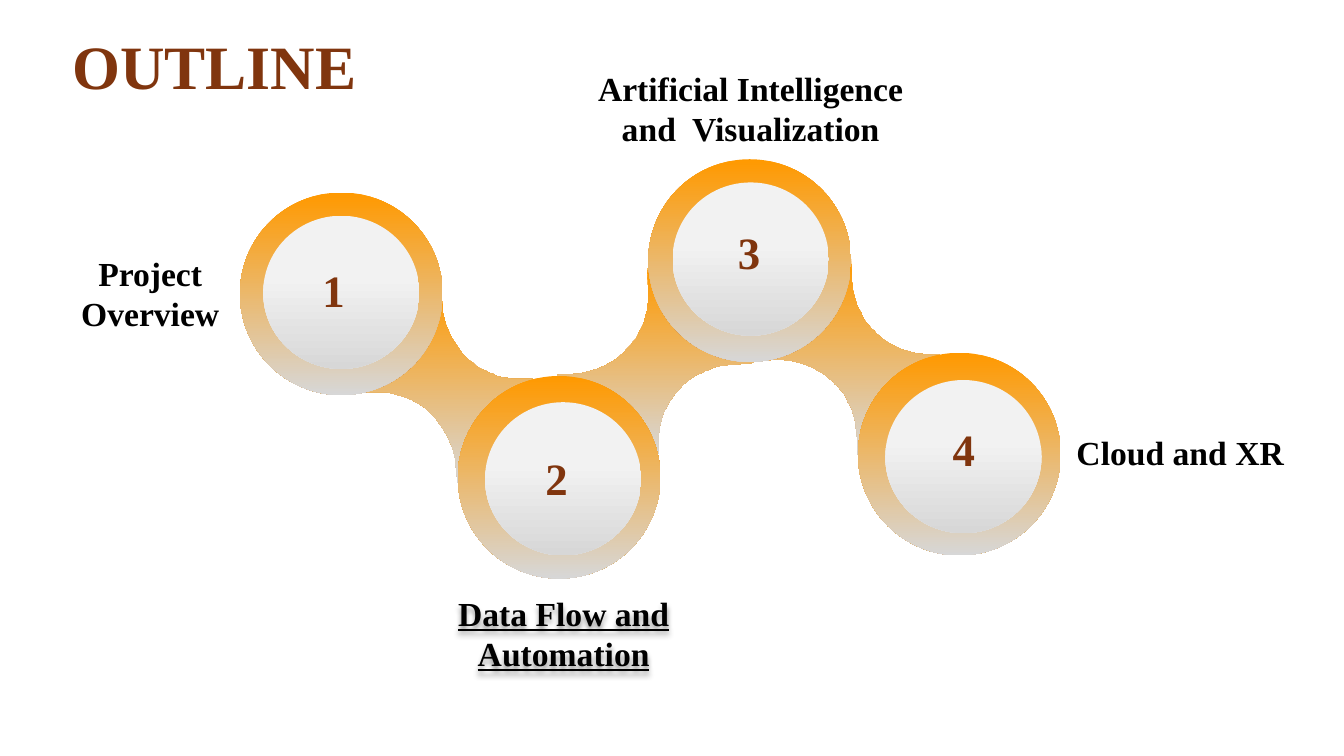
from lxml import etree
from pptx import Presentation
from pptx.dml.color import RGBColor
from pptx.enum.shapes import MSO_SHAPE as Shape
from pptx.enum.text import PP_ALIGN as Align
from pptx.oxml.ns import qn
from pptx.util import Pt

PX = 9144  # 100 px to the inch
FONT = "Times New Roman"
BROWN, BLACK = "80350E", "000000"
RING_STOPS = ((0, "FF9900"), (1, "D7D7D7"))
FACE_STOPS = ((0.4, "F2F2F2"), (1, "D7D7D7"))
DISC_SIZE = 201
FACE_SIZE = (155, 152)
NUMBER_SIZE = (63, 64)
CURVE_STEPS = 32

# Number, then left and top of its disc, face and number box
STATIONS = [
    ("1", (238, 191), (261, 214), (310, 256)),
    ("2", (454, 373), (481, 399), (531, 442)),
    ("3", (643, 158), (667, 181), (722, 218)),
    ("4", (851, 350), (878, 377), (935, 413)),
]

# Each neck: start, upper curve, far corners, lower curve
NECKS = [
    ((346, 391), (437, 283), ((439, 305), (443, 348), (480, 380), (523, 376)),
     (529, 376), (454, 479), ((452, 461), (448, 418), (411, 386), (368, 389))),
    ((748, 360), (642, 266), ((643, 288), (646, 331), (613, 368), (570, 371)),
     (552, 372), (653, 450), ((653, 444), (650, 401), (683, 364), (726, 362))),
    ((748, 358), (844, 255), ((845, 276), (846, 320), (882, 353), (926, 352)),
     (932, 352), (851, 451), ((850, 433), (849, 389), (813, 356), (769, 357))),
]

# Topic, box, underlined with shadow
TOPICS = [
    ("Project Overview", (65, 246, 168, 91), False),
    ("Data Flow and Automation", (428, 583, 262, 91), True),
    ("Artificial Intelligence and  Visualization", (568, 62, 353, 91), False),
    ("Cloud and XR", (994, 424, 353, 50), False),
]


def color(hex_code):
    return RGBColor.from_string(hex_code)


def emu(*lengths):
    return [length * PX for length in lengths]


def shade(shape, stops):
    """Fill from top to bottom, with no outline or shadow."""
    shape.shadow.inherit = False
    shape.line.fill.background()
    shape.fill.gradient()
    shape.fill.gradient_angle = 270
    for stop, (position, hex_code) in zip(shape.fill.gradient_stops, stops):
        stop.position = position
        stop.color.rgb = color(hex_code)


def curve_points(a, b, c, d):
    for step in range(CURVE_STEPS + 1):
        t = step / CURVE_STEPS
        weights = ((1 - t) ** 3, 3 * t * (1 - t) ** 2, 3 * t * t * (1 - t), t ** 3)
        yield tuple(sum(w * p[axis] for w, p in zip(weights, (a, b, c, d)))
                    for axis in (0, 1))


def add_neck(slide, start, shoulder, upper, far_top, far_bottom, lower):
    outline = [shoulder, *curve_points(*upper), far_top, far_bottom,
               *curve_points(*lower)]
    builder = slide.shapes.build_freeform(*start, scale=PX)
    builder.add_line_segments(outline, close=True)
    shade(builder.convert_to_shape(), RING_STOPS)


def add_ellipse(slide, corner, size, stops):
    shade(slide.shapes.add_shape(Shape.OVAL, *emu(*corner, *size)), stops)


def add_label(slide, words, box, size, hex_code, align=Align.CENTER):
    label = slide.shapes.add_textbox(*emu(*box))
    label.text_frame.word_wrap = True
    paragraph = label.text_frame.paragraphs[0]
    paragraph.text = words
    paragraph.alignment = align
    font = paragraph.runs[0].font
    font.name, font.size, font.bold = FONT, Pt(size), True
    font.color.rgb = color(hex_code)
    return label


def emphasize(label):
    """Underline the words and cast a soft shadow below them."""
    label.text_frame.paragraphs[0].runs[0].font.underline = True
    effects = etree.SubElement(label.element.spPr, qn("a:effectLst"))
    shadow = etree.SubElement(effects, qn("a:outerShdw"), blurRad="50800",
                              dist="38100", dir="5400000", algn="t",
                              rotWithShape="0")
    tint = etree.SubElement(shadow, qn("a:srgbClr"), val=BLACK)
    etree.SubElement(tint, qn("a:alpha"), val="40000")


def main():
    deck = Presentation()
    deck.slide_width, deck.slide_height = emu(1333, 750)
    slide = deck.slides.add_slide(deck.slide_layouts[6])

    # Chain of linked discs
    for neck in NECKS:
        add_neck(slide, *neck)
    for number, disc, face, number_corner in STATIONS:
        add_ellipse(slide, disc, (DISC_SIZE, DISC_SIZE), RING_STOPS)
        add_ellipse(slide, face, FACE_SIZE, FACE_STOPS)
        add_label(slide, number, number_corner + NUMBER_SIZE, 32, BROWN, Align.LEFT)

    # Topics beside the discs
    for words, box, current in TOPICS:
        topic = add_label(slide, words, box, 24, BLACK)
        if current:
            emphasize(topic)

    # Title
    add_label(slide, "OUTLINE", (-80, 23, 586, 84), 44, BROWN)

    deck.save("out.pptx")


if __name__ == "__main__":
    main()
